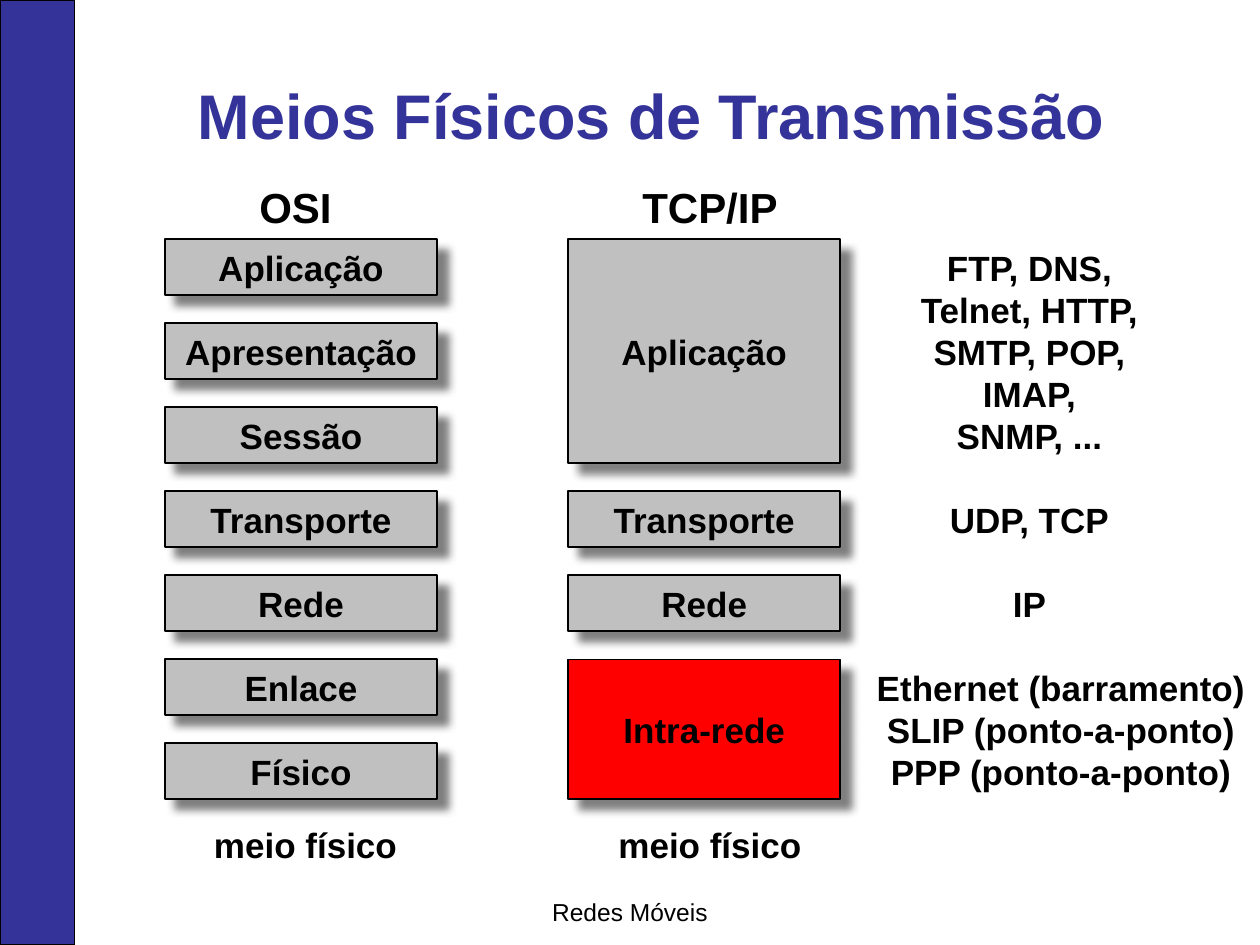
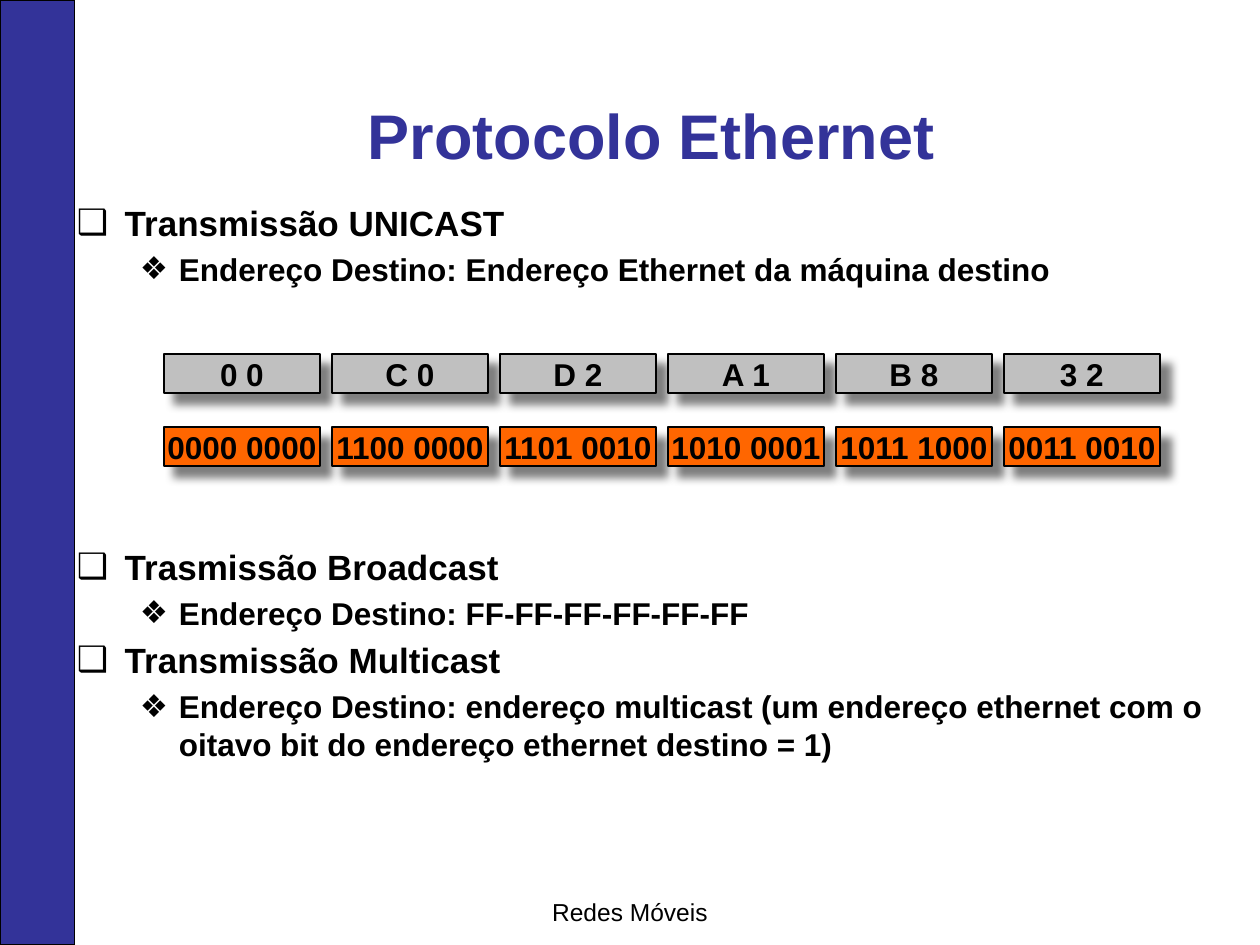
from lxml import etree
from pptx import Presentation
from pptx.dml.color import RGBColor
from pptx.enum.shapes import MSO_SHAPE
from pptx.enum.text import MSO_ANCHOR, MSO_AUTO_SIZE, PP_ALIGN
from pptx.oxml.ns import qn
from pptx.util import Inches, Pt

INK = {"navy": "333399", "black": "000000", "grey": "C0C0C0",
       "red": "FF0000", "orange": "FF6600", "shade": "808080"}
FONT = "Arial"
PITCH = 2 / 3
ROW = 0.44


def tint(name):
    return RGBColor.from_string(INK[name])


def style(para, size, bold=True, ink="black"):
    for run in para.runs:
        font = run.font
        font.name, font.size, font.bold = FONT, Pt(size), bold
        font.color.rgb = tint(ink)


def write(frame, text, size, bold=True, ink="black", anchor=MSO_ANCHOR.MIDDLE):
    frame.text = text
    frame.word_wrap = True
    frame.auto_size = MSO_AUTO_SIZE.NONE
    frame.vertical_anchor = anchor
    for para in frame.paragraphs:
        para.alignment = PP_ALIGN.CENTER
        style(para, size, bold, ink)


def place(shape, box):
    shape.left, shape.top, shape.width, shape.height = map(Inches, box)


def label(slide, box, text, size=20, bold=True):
    shape = slide.shapes.add_textbox(*map(Inches, box))
    write(shape.text_frame, text, size, bold, anchor=MSO_ANCHOR.TOP)


def panel(slide, box, fill, width):
    shape = slide.shapes.add_shape(MSO_SHAPE.RECTANGLE, *map(Inches, box))
    shape.shadow.inherit = False
    shape.fill.solid()
    shape.fill.fore_color.rgb = tint(fill)
    shape.line.color.rgb = tint("black")
    shape.line.width = Pt(width)
    return shape


def cast(shape):
    effects = shape.element.spPr.find(qn("a:effectLst"))
    shadow = etree.SubElement(effects, qn("a:outerShdw"), blurRad=str(Pt(5)),
                              dist=str(Pt(8.5)), dir="2700000", algn="ctr", rotWithShape="0")
    etree.SubElement(shadow, qn("a:srgbClr"), val=INK["shade"])


def block(slide, box, text, size=20, fill="grey", inset=0.1):
    shape = panel(slide, box, fill, 1)
    cast(shape)
    frame = shape.text_frame
    frame.margin_left = frame.margin_right = Inches(inset)
    frame.margin_top = frame.margin_bottom = 0
    write(frame, text, size)


def start(deck, layout, title, box):
    slide = deck.slides.add_slide(deck.slide_layouts[layout])
    panel(slide, (0, 0, 0.59, 7.5), "navy", 0.75)
    label(slide, (0, 7.07, 10, 0.34), "Redes Móveis", 14, False)
    place(slide.shapes.title, box)
    write(slide.shapes.title.text_frame, title, 36, ink="navy", anchor=MSO_ANCHOR.BOTTOM)
    return slide


def stack(slide, left, top, layers):
    row = 0
    for text, span, fill in layers:
        box = left, top + row * PITCH, 2.16, ROW + (span - 1) * PITCH
        block(slide, box, text, fill=fill)
        row += span


def layers(deck):
    slide = start(deck, 5, "Meios Físicos de Transmissão", (0.42, 0.52, 9.5, 0.74))
    top = 1.9
    names = ("Aplicação", "Apresentação", "Sessão", "Transporte", "Rede", "Enlace", "Físico")
    stack(slide, 1.31, top, [(name, 1, "grey") for name in names])
    stack(slide, 4.51, top, [("Aplicação", 3, "grey"), ("Transporte", 1, "grey"),
                             ("Rede", 1, "grey"), ("Intra-rede", 2, "red")])
    label(slide, (1.22, 1.39, 2.25, 0.5), "OSI", 24)
    label(slide, (4.18, 1.39, 2.91, 0.5), "TCP/IP", 24)
    for left in (1.3, 4.51):
        label(slide, (left, 6.49, 2.25, 0.43), "meio físico")
    notes = [
        (7.1, 2.14, 0, 3, "FTP, DNS, Telnet, HTTP, SMTP, POP, IMAP,\vSNMP, ..."),
        (7.1, 2.14, 3, 1, "UDP, TCP"),
        (7.1, 2.14, 4, 1, "IP"),
        (6.84, 3.16, 5, 2, "Ethernet (barramento)\vSLIP (ponto-a-ponto)\vPPP (ponto-a-ponto)"),
    ]
    for left, width, row, span, text in notes:
        label(slide, (left, top + 0.01 + row * PITCH, width, ROW + (span - 1) * PITCH), text)


def bullet(para, level, text, gap):
    mark, left, hang, size = (("❑", 0.38, 0.38, 20), ("❖", 0.81, 0.31, 18))[level]
    para.text = text
    para.level = level
    props = para._p.get_or_add_pPr()
    props.set("marL", str(Inches(left)))
    props.set("indent", str(-Inches(hang)))
    color = etree.SubElement(props, qn("a:buClr"))
    etree.SubElement(color, qn("a:srgbClr"), val=INK["black"])
    etree.SubElement(props, qn("a:buFont"), typeface=FONT)
    etree.SubElement(props, qn("a:buChar"), char=mark)
    para.space_before = Pt(gap)
    style(para, size)


def points(shape, box, items):
    place(shape, box)
    frame = shape.text_frame
    frame.word_wrap = True
    frame.auto_size = MSO_AUTO_SIZE.NONE
    frame.vertical_anchor = MSO_ANCHOR.TOP
    frame.text = "\n".join(text for _, text, _ in items)
    for para, item in zip(frame.paragraphs, items):
        bullet(para, *item)


def bytes_row(slide, left, top, texts, fill, inset):
    for col, text in enumerate(texts):
        box = left + col * 2 * PITCH, top, 1.24, 0.31
        block(slide, box, text, 18, fill, inset)


def ethernet(deck):
    slide = start(deck, 1, "Protocolo Ethernet", (0.42, 0.21, 9.5, 1.21))
    points(slide.placeholders[1], (0.51, 1.55, 9.21, 5.12), [
        (0, "Transmissão UNICAST", 0),
        (1, "Endereço Destino: Endereço Ethernet da máquina destino", 3.6),
        (0, "Trasmissão Broadcast", 147.5),
        (1, "Endereço Destino: FF-FF-FF-FF-FF-FF", 3.6),
        (0, "Transmissão Multicast", 4),
        (1, "Endereço Destino: endereço multicast (um endereço ethernet com o "
            "oitavo bit do endereço ethernet destino = 1)", 3.6),
    ])
    pairs = ("0 0", "C 0", "D 2", "A 1", "B 8", "3 2")
    bits = ("0000 0000", "1100 0000", "1101 0010", "1010 0001", "1011 1000", "0011 0010")
    bytes_row(slide, 1.3, 2.81, pairs, "grey", 0.1)
    bytes_row(slide, 1.3, 3.39, bits, "orange", 0)


def main():
    deck = Presentation()
    deck.slide_width, deck.slide_height = Inches(10), Inches(7.5)
    layers(deck)
    ethernet(deck)
    deck.save("out.pptx")


if __name__ == "__main__":
    main()
